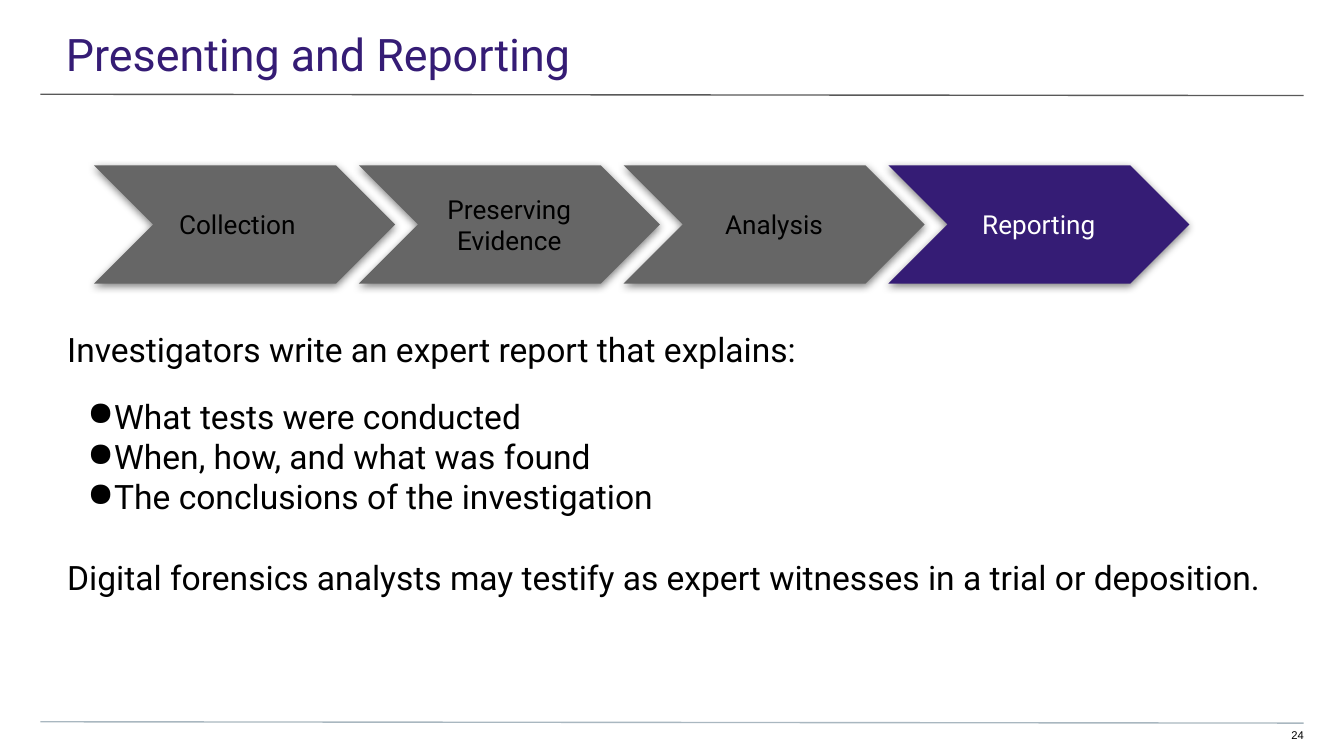
from dataclasses import dataclass

from lxml import etree
from pptx import Presentation
from pptx.dml.color import RGBColor
from pptx.enum.shapes import MSO_CONNECTOR, MSO_SHAPE
from pptx.enum.text import MSO_ANCHOR, PP_ALIGN
from pptx.oxml.ns import qn
from pptx.util import Pt

STRAIGHT = MSO_CONNECTOR.STRAIGHT
CHEVRON = MSO_SHAPE.CHEVRON
TOP, MIDDLE = MSO_ANCHOR.TOP, MSO_ANCHOR.MIDDLE
LEFT, CENTER, RIGHT = PP_ALIGN.LEFT, PP_ALIGN.CENTER, PP_ALIGN.RIGHT

COLORS = {
    "purple": "351C75",
    "gray": "666666",
    "black": "000000",
    "white": "FFFFFF",
    "header_rule": "595959",
    "footer_rule": "A9B7C0",
}
FONT = "Roboto"
STEP_LEFT, STEP_TOP, STEP_W, STEP_H, STEP_PITCH = 50.4, 88.56, 161.3, 63.4, 141.84


@dataclass
class Rule:
    y: float
    color: str


@dataclass
class Step:
    label: str
    fill: str = "gray"
    color: str = "black"
    inset_right: float = 7.2


@dataclass
class Line:
    text: str
    size: float = 18
    color: str = "black"
    font: str = FONT
    align: PP_ALIGN = LEFT
    before: float = 0
    bullet: bool = False


RULES = [Rule(50.5, "header_rule"), Rule(386.7, "footer_rule")]
STEPS = [
    Step("Collection", inset_right=14.8),
    Step("Preserving Evidence"),
    Step("Analysis"),
    Step("Reporting", "purple", "white"),
]
BODY = [
    Line("Investigators write an expert report that explains:"),
    Line("What tests were conducted", before=14, bullet=True),
    Line("When, how, and what was found", bullet=True),
    Line("The conclusions of the investigation", bullet=True),
    Line("Digital forensics analysts may testify as expert witnesses "
         "in a trial or deposition.", before=21.6),
]


def rgb(name: str) -> RGBColor:
    return RGBColor.from_string(COLORS[name])


def add_bullet(p) -> None:
    pPr = p._p.get_or_add_pPr()
    pPr.set("marL", str(Pt(25.2)))
    pPr.set("indent", str(Pt(-14.4)))
    color = etree.SubElement(pPr, qn("a:buClr"))
    etree.SubElement(color, qn("a:srgbClr"), val=COLORS["black"])
    etree.SubElement(pPr, qn("a:buChar"), char="●")


def write(tf, lines: list[Line], insets: tuple, anchor: MSO_ANCHOR = TOP) -> None:
    tf.word_wrap = True
    tf.vertical_anchor = anchor
    tf.margin_left, tf.margin_top, tf.margin_right, tf.margin_bottom = map(Pt, insets)
    for i, line in enumerate(lines):
        p = tf.add_paragraph() if i else tf.paragraphs[0]
        p.alignment = line.align
        if line.bullet:
            add_bullet(p)
        if line.before:
            p.space_before = Pt(line.before)
        r = p.add_run()
        r.text = line.text
        r.font.name = line.font
        r.font.size = Pt(line.size)
        r.font.color.rgb = rgb(line.color)


def add_text(s, box: tuple, lines: list[Line], insets: tuple) -> None:
    write(s.shapes.add_textbox(*map(Pt, box)).text_frame, lines, insets)


def add_rule(s, rule: Rule) -> None:
    line = s.shapes.add_connector(
        STRAIGHT, Pt(21.6), Pt(rule.y), Pt(698.4), Pt(rule.y + 0.7))
    line.line.color.rgb = rgb(rule.color)
    line.line.width = Pt(0.75)
    etree.SubElement(line._element.spPr, qn("a:effectLst"))


def add_soft_shadow(sp) -> None:
    sp.shadow.inherit = False
    effects = sp._element.spPr.find(qn("a:effectLst"))
    shadow = etree.SubElement(
        effects, qn("a:outerShdw"), blurRad=str(Pt(4.5)), dist=str(Pt(1.5)),
        dir="5400000", algn="bl", rotWithShape="0")
    color = etree.SubElement(shadow, qn("a:srgbClr"), val=COLORS["black"])
    etree.SubElement(color, qn("a:alpha"), val="50000")


def add_step(s, index: int, step: Step) -> None:
    sp = s.shapes.add_shape(
        CHEVRON, Pt(STEP_LEFT + index * STEP_PITCH), Pt(STEP_TOP),
        Pt(STEP_W), Pt(STEP_H))
    sp.fill.solid()
    sp.fill.fore_color.rgb = rgb(step.fill)
    sp.line.fill.background()
    add_soft_shadow(sp)
    label = Line(step.label, 14, step.color, align=CENTER)
    write(sp.text_frame, [label], (7.2, 7.2, step.inset_right, 7.2), MIDDLE)


def main() -> None:
    prs = Presentation()
    prs.slide_width, prs.slide_height = Pt(720), Pt(405)
    s = prs.slides.add_slide(prs.slide_layouts[6])

    # Header and footer rules
    for rule in RULES:
        add_rule(s, rule)

    # Title, body and page number
    add_text(s, (-0.7, 0, 722, 41.8),
             [Line("Presenting and Reporting", 24, "purple")], (36, 14.4, 21.6, 7.2))
    add_text(s, (0, 169.2, 720, 200), BODY, (36, 7.2, 36, 0))
    add_text(s, (677.5, 390.2, 20.9, 8.6),
             [Line("24", 6, font="Arial", align=RIGHT)], (0, 0, 0, 7.2))

    # Process steps
    for i, step in enumerate(STEPS):
        add_step(s, i, step)

    prs.save("out.pptx")


if __name__ == "__main__":
    main()
